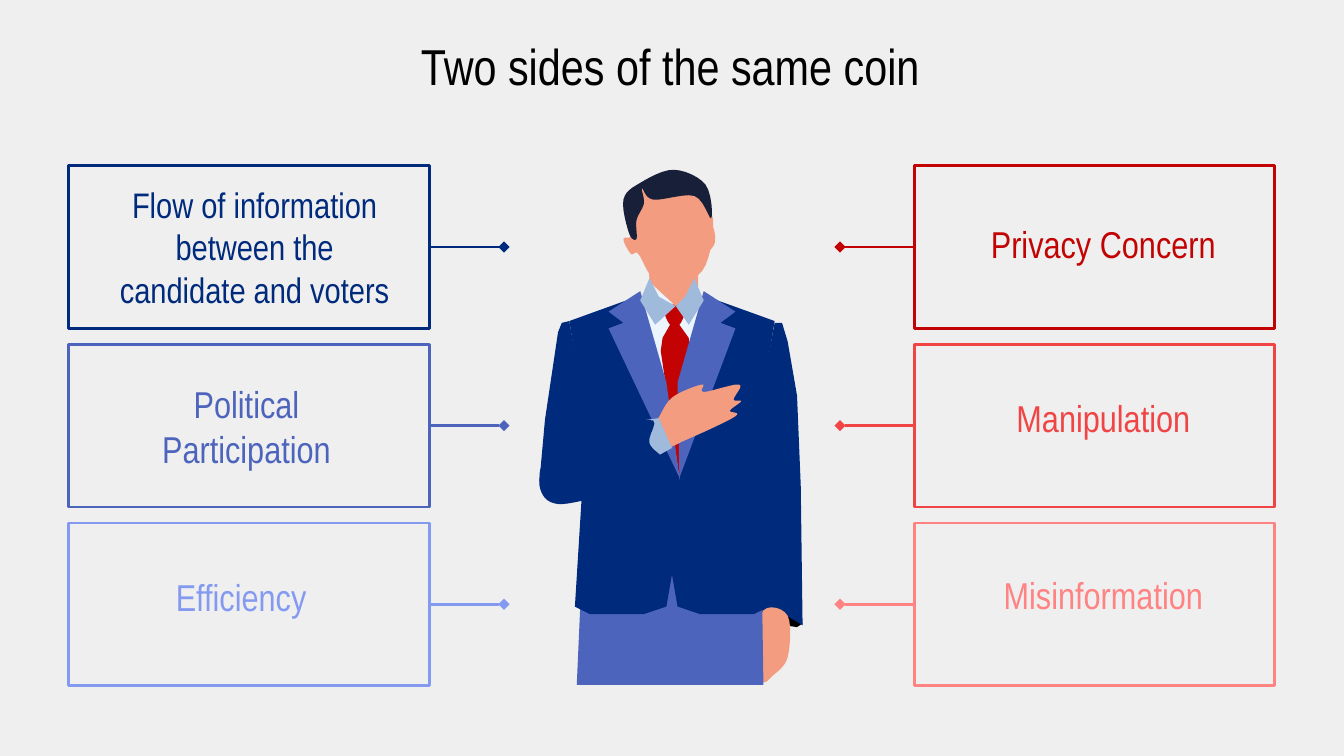
import pptx
import pptx.dml.color
import pptx.enum.shapes
import pptx.enum.text
import pptx.oxml
import pptx.oxml.ns
import pptx.util

Pt = pptx.util.Pt
FONT = "Arial Narrow"
NAVY, BLUE, PALE_BLUE, SKIN = "002A7C", "4D64BD", "A0BADB", "F39C7F"
RED, HAIR, SHIRT, BLACK = "C30303", "181F39", "ECF5FD", "000000"

# Content: caption, colour, text size, caption box (left, top, width, height)
TITLE = "Two sides of the same coin"
BENEFITS = [
    ("Flow of information between the candidate and voters", NAVY, 19, (51.8, 95.8, 169.2, 72.7)),
    ("Political Participation", BLUE, 20, (50.4, 195.8, 163.4, 64.8)),
    ("Efficiency", "849AF1", 20, (51.8, 287.3, 154.8, 64.8)),
]
RISKS = [
    ("Privacy Concern", RED, 20, (514.8, 95.8, 152.6, 69.8)),
    ("Manipulation", "F14545", 20, (514.8, 191.5, 152.6, 64.8)),
    ("Misinformation", "FF8383", 20, (514.8, 287.3, 152.6, 62.6)),
]
# Card left, connector tip, connection site on the card
SIDES = [(BENEFITS, 36.9, 270, 3), (RISKS, 489.8, 450, 1)]
CARD_TOP, CARD_PITCH, CARD_WIDTH, CARD_HEIGHT = 88.8, 95.7, 193.2, 87.1

# Politician, back to front: colour, style, outline.
# "mirror" parts appear on both sides of AXIS and share their last point.
AXIS = 360
CURVE_STEPS = 6
POLITICIAN = [
    # Right sleeve lining, sleeve and hand
    (BLACK, "sharp", [(422, 328), (430, 334), (427, 336), (420, 335)]),
    (NAVY, "sharp", [(415, 173), (419, 173), (422, 183), (427, 212), (429, 260),
                     (430, 335), (420, 329), (403, 328), (402, 243)]),
    (SKIN, "smooth", [(409, 327), (422, 330), (422, 352), (414, 362), (408, 365), (403, 350)]),
    # Trousers and left upper arm
    (BLUE, "sharp", [(312, 300), (408, 300), (409, 367), (309, 367)]),
    (NAVY, "sharp", [(305, 172), (301, 173), (299, 178), (292, 225), (289, 258), (319, 250)]),
    # Shirt, tie knot and tie
    (SHIRT, "sharp", [(345, 157), (375, 159), (369, 289), (356, 289)]),
    (RED, "smooth", [(362, 163), (356, 166), (359, 174), (364, 174), (367, 166)]),
    (RED, "sharp", [(359, 174), (364, 174), (369, 181), (370, 188), (364, 256), (354, 188), (355, 181)]),
    # Ear, neck, face and hair
    (SKIN, "smooth", [(377, 123), (382, 122), (383, 130), (379, 134)]),
    (SKIN, "sharp", [(347, 134), (374, 135), (374, 153), (362, 164), (348, 151)]),
    (SKIN, "smooth", [(361, 96), (341, 103), (339, 125), (334, 128), (338, 136), (342, 136),
                      (350, 149), (364, 152), (378, 142), (381, 113)]),
    (HAIR, "smooth", [(341, 128), (341, 118), (345, 109), (344, 101), (350, 107), (372, 105),
                      (381, 117), (378, 99), (361, 91), (343, 98), (334, 107), (337, 125)]),
    # Jacket halves, lapels and collar
    (NAVY, "mirror", [(341, 159), (305, 172), (314, 228), (308, 325), (316, 329), (345, 329),
                      (357, 325), (361, 302), (364, 256)]),
    (BLUE, "mirror", [(357, 205), (343, 156), (326, 167), (334, 173), (326, 176), (364, 256)]),
    (PALE_BLUE, "mirror", [(351, 174), (343, 161), (348, 149), (353, 159), (362, 164)]),
    # Hand on the heart, cuff and forearm
    (SKIN, "smooth", [(352, 225), (360, 213), (376, 206), (377, 210), (396, 206), (393, 214),
                      (397, 215), (391, 220), (394, 223), (369, 235), (352, 241), (348, 227)]),
    (PALE_BLUE, "sharp", [(346, 225), (353, 224), (360, 240), (351, 245), (346, 233)]),
    (NAVY, "smooth", [(297, 244), (347, 225), (348, 238), (359, 254), (313, 268), (295, 269), (289, 258)]),
]


def rgb(color):
    return pptx.dml.color.RGBColor.from_string(color)


def add_caption(shapes, text, box, size, color):
    caption = shapes.add_textbox(*map(Pt, box))
    frame = caption.text_frame
    frame.word_wrap = True
    frame.vertical_anchor = pptx.enum.text.MSO_ANCHOR.MIDDLE
    frame.margin_left = frame.margin_right = frame.margin_top = frame.margin_bottom = Pt(7.2)
    frame.text = text
    paragraph = frame.paragraphs[0]
    paragraph.alignment = pptx.enum.text.PP_ALIGN.CENTER
    font = paragraph.runs[0].font
    font.name, font.size, font.color.rgb = FONT, Pt(size), rgb(color)


def smooth(outline):
    """Run a closed Catmull-Rom curve through the outline."""
    points = []
    for i in range(len(outline)):
        neighbours = [outline[(i + k) % len(outline)] for k in (-1, 0, 1, 2)]
        for step in range(CURVE_STEPS):
            t = step / CURVE_STEPS
            points.append(tuple(
                b + t * (c - a + t * (2 * a - 5 * b + 4 * c - d + t * (3 * b - a - 3 * c + d))) / 2
                for a, b, c, d in zip(*neighbours)))
    return points


def add_part(shapes, color, outline):
    start, *rest = [(Pt(x), Pt(y)) for x, y in outline]
    builder = shapes.build_freeform(*start)
    builder.add_line_segments(rest, close=True)
    part = builder.convert_to_shape()
    part.shadow.inherit = False
    part.fill.solid()
    part.fill.fore_color.rgb = rgb(color)
    part.line.fill.background()


def add_card(shapes, left, top, tip, site, text, color, size, box):
    card = shapes.add_shape(pptx.enum.shapes.MSO_SHAPE.RECTANGLE,
                            Pt(left), Pt(top), Pt(CARD_WIDTH), Pt(CARD_HEIGHT))
    card.shadow.inherit = False
    card.fill.background()
    add_caption(shapes, text, box, size, color)
    middle = Pt(top + CARD_HEIGHT / 2)
    pointer = shapes.add_connector(pptx.enum.shapes.MSO_CONNECTOR.STRAIGHT,
                                   Pt(left), middle, Pt(tip), middle)
    pointer.begin_connect(card, site)
    for part in (card, pointer):
        part.line.color.rgb = rgb(color)
        part.line.width = Pt(1.5)
    # Diamond tip, no shadow
    namespace = pptx.oxml.ns.nsdecls("a")
    pointer.line._get_or_add_ln().append(
        pptx.oxml.parse_xml(f'<a:tailEnd {namespace} type="diamond"/>'))
    pointer._element.spPr.append(pptx.oxml.parse_xml(f"<a:effectLst {namespace}/>"))


def main():
    deck = pptx.Presentation()
    deck.slide_width, deck.slide_height = Pt(720), Pt(405)
    slide = deck.slides.add_slide(deck.slide_layouts[6])
    slide.background.fill.solid()
    slide.background.fill.fore_color.rgb = rgb("EFEFEF")

    add_caption(slide.shapes, TITLE, (34.6, 25.2, 648.7, 19.4), 27, BLACK)

    # Politician
    politician = slide.shapes.add_group_shape()
    for color, style, outline in POLITICIAN:
        add_part(politician.shapes, color, smooth(outline) if style == "smooth" else outline)
        if style == "mirror":
            *side, shared = outline
            add_part(politician.shapes, color, [(2 * AXIS - x, y) for x, y in side] + [shared])

    # Cards on both sides
    for cards, left, tip, site in SIDES:
        for row, card in enumerate(cards):
            group = slide.shapes.add_group_shape()
            add_card(group.shapes, left, CARD_TOP + row * CARD_PITCH, tip, site, *card)

    deck.save("out.pptx")


if __name__ == "__main__":
    main()
